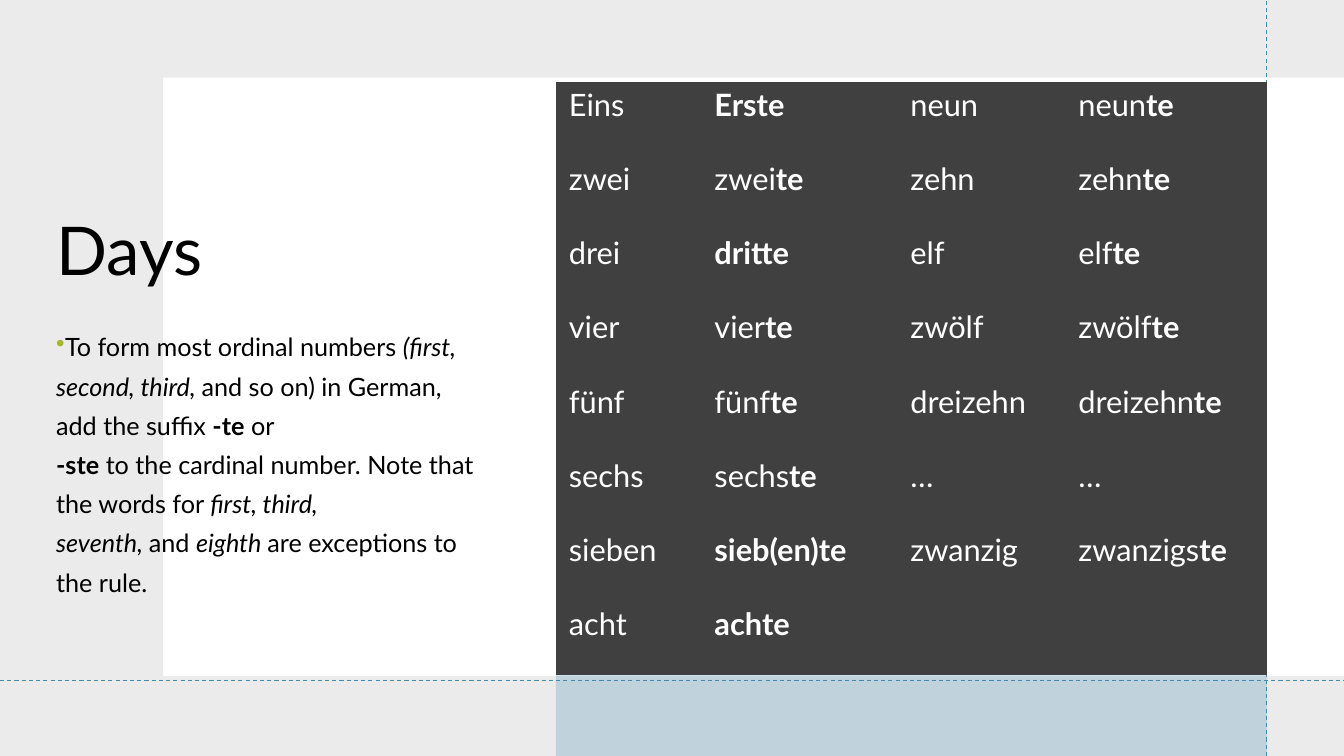
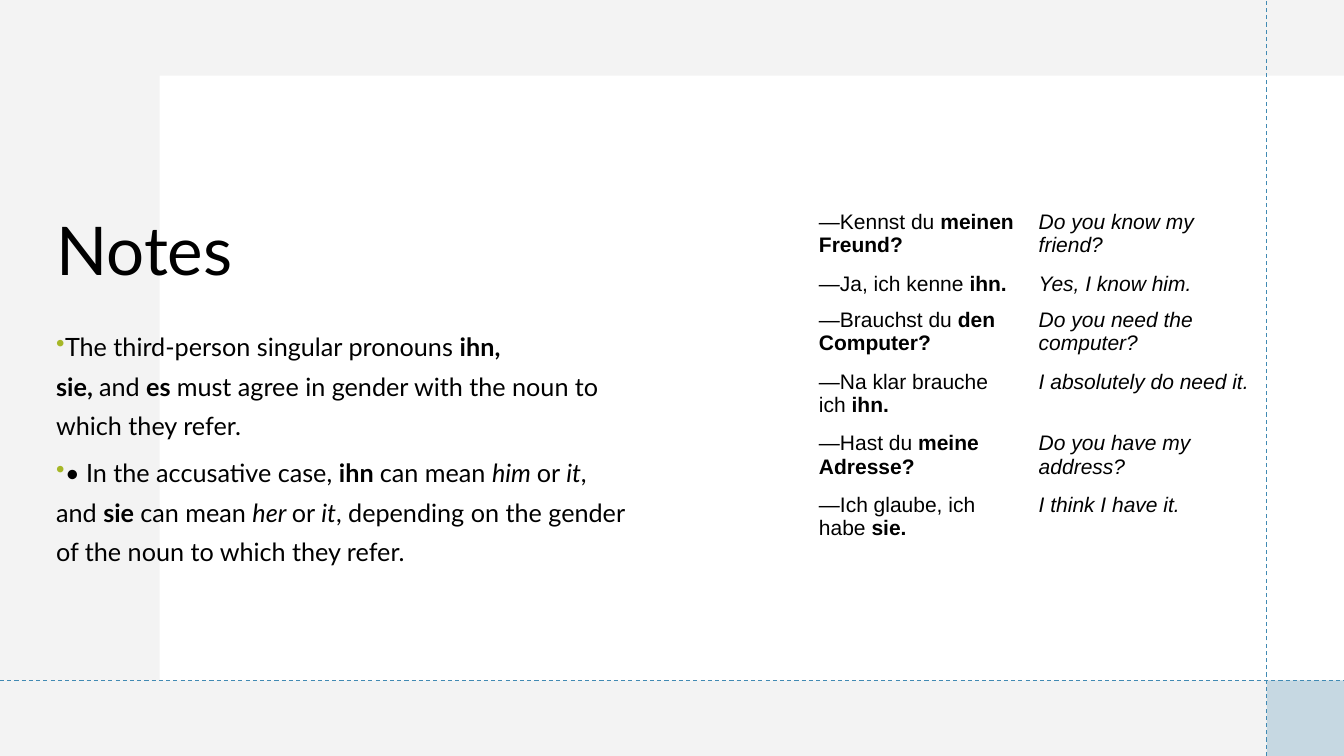
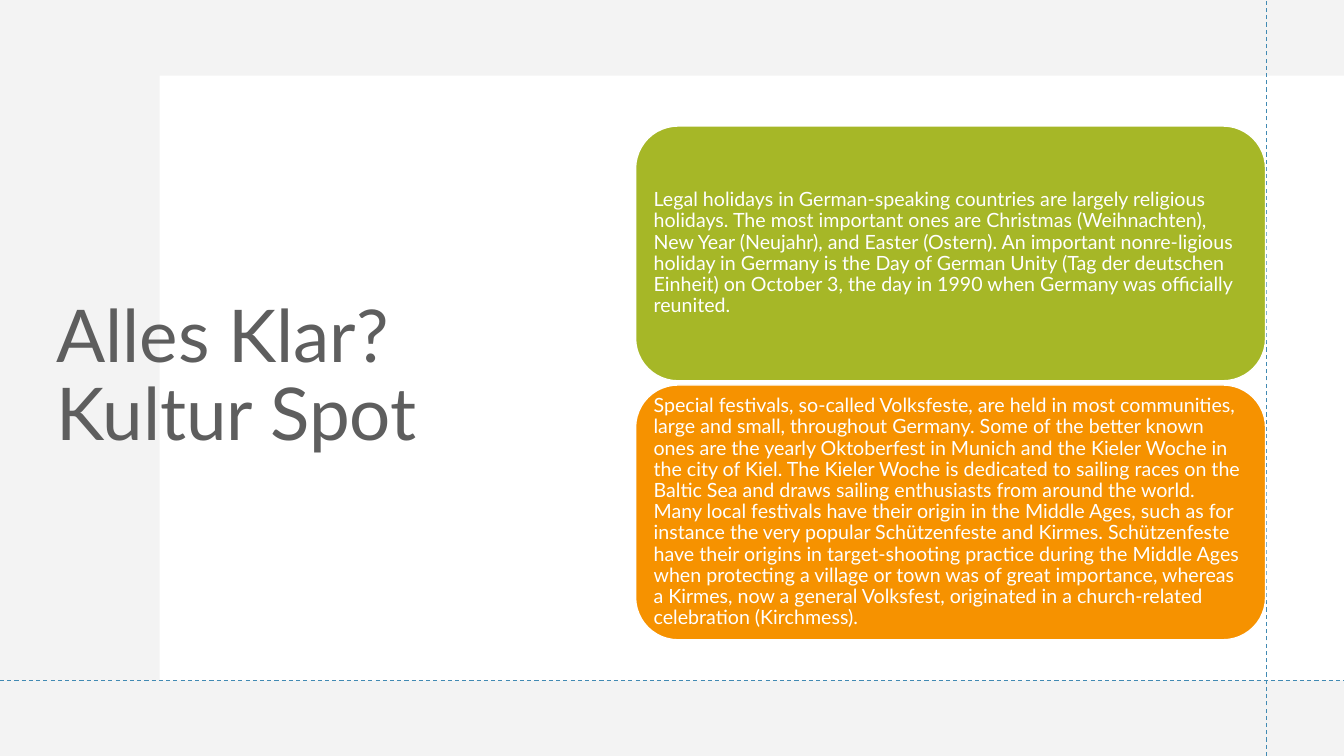
from collections import namedtuple

from lxml import etree
from pptx import Presentation
from pptx.dml.color import RGBColor
from pptx.enum import dml, shapes, text
from pptx.oxml import ns
from pptx.util import Pt

Box = namedtuple("Box", "left top width height")

# Shared look
WIDTH, HEIGHT = 960, 540
GUIDE_X, GUIDE_Y = 905, 486
FONT = "Lato"
BLACK, WHITE, DARK = "000000", "FFFFFF", "404040"
GREY, BLUE, GREEN, ORANGE = "DDDDDD", "418AB3", "A6B727", "F69200"
TITLE_GREY = "5E5E5E"
TEXT_LEFT = 33
PANEL = Box(114, 54, 846, 432)
PLAIN_TABLE = "{2D5ABB26-0587-4C30-8999-92F81FD0307C}"

# In the texts below * switches bold, _ switches italic, ~ is a fixed space
ORDINAL_RULE = [
    "To form most ordinal numbers~_(first, second, third,~_and so on) in German, "
    "add the suffix~*-te*~or\n*-ste*~to the cardinal number. Note that the words "
    "for~_first, third, seventh,~_and~_eighth~_are exceptions to the rule.",
]
ORDINALS = [
    ["Eins", "*Erste*", "neun", "neun*te*"],
    ["zwei", "zwei*te*", "zehn", "zehn*te*"],
    ["drei", "*dritte*", "elf", "elf*te*"],
    ["vier", "vier*te*", "zwölf", "zwölf*te*"],
    ["fünf", "fünf*te*", "dreizehn", "dreizehn*te*"],
    ["sechs", "sechs*te*", "…", "…"],
    ["sieben", "*sieb(en)te*", "zwanzig", "zwanzigs*te*"],
    ["acht", "*achte*", "", ""],
]
PRONOUN_RULES = [
    "The third-person singular pronouns~*ihn, sie,~*and~*es~*must agree in gender "
    "with the noun to which they refer.",
    "• In the accusative case,~*ihn~*can mean~_him~_or~_it_, and~*sie~*can mean~"
    "_her~_or~_it_, depending on the gender of the noun to which they refer.",
]
DIALOGUE = [
    ["—Kennst du~*meinen Freund?*", "_Do you know my friend?_"],
    ["—Ja, ich kenne~*ihn.*", "_Yes, I know him._"],
    ["—Brauchst du~*den Computer?*", "_Do you need the computer?_"],
    ["—Na klar brauche ich~*ihn.*", "_I absolutely do need it._"],
    ["—Hast du~*meine Adresse?*", "_Do you have my address?_"],
    ["—Ich glaube, ich habe~*sie.*", "_I think I have it._"],
]
HOLIDAYS = (
    "Legal holidays in German-speaking countries are largely religious holidays. The "
    "most important ones are Christmas (Weihnachten), New Year (Neujahr), and Easter "
    "(Ostern). An important nonre-ligious holiday in Germany is the Day of German Unity "
    "(Tag der deutschen Einheit) on October 3, the day in 1990 when Germany was "
    "officially reunited."
)
FESTIVALS = (
    "Special festivals, so-called Volksfeste, are held in most communities, large and "
    "small, throughout Germany. Some of the better known ones are the yearly Oktoberfest "
    "in Munich and the Kieler Woche in the city of Kiel. The Kieler Woche is dedicated to "
    "sailing races on the Baltic Sea and draws sailing enthusiasts from around the world. "
    "Many local festivals have their origin in the Middle Ages, such as for instance the "
    "very popular Schützenfeste and Kirmes. Schützenfeste have their origins in "
    "target-shooting practice during the Middle Ages when protecting a village or town "
    "was of great importance, whereas a Kirmes, now a general Volksfest, originated in a "
    "church-related celebration (Kirchmess)."
)


def colour(value):
    return RGBColor.from_string(value)


def points(box):
    return [Pt(length) for length in box]


def sub(parent, tag, **attributes):
    return etree.SubElement(parent, ns.qn(tag), **attributes)


# Text
def write(para, marked, size, ink, font=FONT):
    """Add the runs of one paragraph from its marked text."""
    for i, part in enumerate(marked.replace("~", chr(160)).split("*")):
        for j, piece in enumerate(part.split("_")):
            for k, line in enumerate(piece.split("\n")):
                if k:
                    para.add_line_break()
                if line:
                    span = para.add_run()
                    span.text = line
                    span.font.name, span.font.size = font, Pt(size)
                    span.font.bold, span.font.italic = i % 2 == 1, j % 2 == 1
                    span.font.color.rgb = colour(ink)


def set_frame(frame, anchor, insets):
    frame.word_wrap = True
    frame.auto_size = text.MSO_AUTO_SIZE.NONE
    frame.vertical_anchor = anchor
    set_margins(frame, insets)


def set_margins(holder, insets):
    (holder.margin_left, holder.margin_top,
     holder.margin_right, holder.margin_bottom) = points(insets)


def add_title(page, box, words, size=48, ink=BLACK, anchor=text.MSO_ANCHOR.BOTTOM):
    title = page.shapes.title
    page.shapes.element.append(title.element)  # in front of the backdrop
    title.left, title.top, title.width, title.height = points(box)
    set_frame(title.text_frame, anchor, (7.2, 3.6, 7.2, 3.6))
    para = title.text_frame.paragraphs[0]
    para.alignment = text.PP_ALIGN.LEFT
    para.line_spacing = 0.9
    write(para, words, size, ink)


def add_bullets(page, box, items):
    frame = page.shapes.add_textbox(*points(box)).text_frame
    set_frame(frame, text.MSO_ANCHOR.TOP, (7.2, 3.6, 7.2, 3.6))
    for i, item in enumerate(items):
        para = frame.add_paragraph() if i else frame.paragraphs[0]
        para.line_spacing, para.space_after = Pt(28), Pt(6)
        write(para, item, 18, BLACK)
        props = para._p.get_or_add_pPr()
        props.set("marL", "0")
        props.set("indent", str(-Pt(18)))
        sub(sub(props, "a:buClr"), "a:srgbClr", val=GREEN)
        sub(props, "a:buChar", char="•")


# Shapes
def add_block(page, box, fill, opacity=100, kind=shapes.MSO_SHAPE.RECTANGLE):
    block = page.shapes.add_shape(kind, *points(box))
    block.shadow.inherit = False
    block.fill.solid()
    block.fill.fore_color.rgb = colour(fill)
    block.line.fill.background()
    if opacity < 100:
        tint = block.element.spPr.find(ns.qn("a:solidFill"))[0]
        sub(tint, "a:alpha", val=str(opacity * 1000))
    return block


def add_guide(page, start, end):
    guide = page.shapes.add_connector(
        shapes.MSO_CONNECTOR.STRAIGHT, *points(start + end))
    guide.line.color.rgb = colour(BLUE)
    guide.line.width = Pt(0.75)
    guide.line.dash_style = dml.MSO_LINE.DASH
    sub(guide.element.spPr, "a:effectLst")


def add_backdrop(page, panel=PANEL, opacity=35, accent=None):
    """Grey frame, white panel, optional blue block and the two guides."""
    add_block(page, Box(0, 0, WIDTH, HEIGHT), GREY, opacity)
    add_block(page, panel, WHITE)
    if accent:
        add_block(page, accent, BLUE, 25)
    add_guide(page, (GUIDE_X, HEIGHT), (GUIDE_X, 0))
    add_guide(page, (0, GUIDE_Y), (WIDTH, GUIDE_Y))


def add_card(page, box, words, fill):
    card = add_block(page, box, fill, kind=shapes.MSO_SHAPE.ROUNDED_RECTANGLE)
    card.line.color.rgb = colour(WHITE)
    card.line.width = Pt(1)
    set_frame(card.text_frame, text.MSO_ANCHOR.MIDDLE, (4, 0, 4, 0))
    para = card.text_frame.paragraphs[0]
    para.alignment = text.PP_ALIGN.LEFT
    para.line_spacing = 0.9
    write(para, words, 14, WHITE)


# Tables
def add_grid(page, left, top, widths, heights, rows, insets, size, ink, font, fill=None):
    """Place a plain table; insets holds one set of margins per column."""
    box = Box(left, top, sum(widths), sum(heights))
    frame = page.shapes.add_table(len(rows), len(widths), *points(box))
    table = frame.table
    table.first_row = table.horz_banding = False
    next(frame.element.iter(ns.qn("a:tableStyleId"))).text = PLAIN_TABLE
    for column, width in zip(table.columns, widths):
        column.width = Pt(width)
    for row, height, entries in zip(table.rows, heights, rows):
        row.height = Pt(height)
        for cell, entry, margins in zip(row.cells, entries, insets):
            set_margins(cell, margins)
            if fill:
                cell.fill.solid()
                cell.fill.fore_color.rgb = colour(fill)
            else:
                cell.fill.background()
            write(cell.text_frame.paragraphs[0], entry, size, ink, font)
    return table


def add_left_border(cell, ink):
    props = cell._tc.get_or_add_tcPr()
    border = sub(props, "a:lnL", w=str(Pt(1)))
    sub(sub(border, "a:solidFill"), "a:srgbClr", val=ink)
    props.insert(0, border)


# Slides
def add_page(deck):
    return deck.slides.add_slide(deck.slide_layouts[5])


def add_text_column(page, width, title, items):
    add_title(page, Box(TEXT_LEFT, 42.5, width, 168.5), title)
    add_bullets(page, Box(TEXT_LEFT, 227, width, 244), items)


def days_page(deck):
    page = add_page(deck)
    widths = [104, 140, 120, 144]
    left = GUIDE_X - sum(widths)
    add_backdrop(page, Box(116.5, 55.5, 843.5, 427.5), 58,
                 Box(left, 479, sum(widths), HEIGHT - 479))
    add_text_column(page, 317.5, "Days", ORDINAL_RULE)
    insets = [(9.4, 3, 16, 19.4)] + [(9.4, 3, 13, 19.4)] * 3
    table = add_grid(page, left, 58.5, widths, [53] * len(ORDINALS), ORDINALS,
                     insets, 22, WHITE, FONT, DARK)
    for row in table.rows:
        add_left_border(row.cells[0], WHITE)


def notes_page(deck):
    page = add_page(deck)
    add_backdrop(page, accent=Box(GUIDE_X, GUIDE_Y, WIDTH - GUIDE_X, HEIGHT - GUIDE_Y))
    add_text_column(page, 422.5, "Notes", PRONOUN_RULES)
    widths = [158, 168]
    add_grid(page, GUIDE_X - sum(widths), 147.5, widths, [44, 26, 44, 44, 44, 44],
             DIALOGUE, [(6, 3, 6, 3), (5, 3, 6, 3)], 15, BLACK, "Arial")


def culture_page(deck):
    page = add_page(deck)
    add_backdrop(page)
    add_title(page, Box(TEXT_LEFT, 74, 398, 392), "Alles Klar? Kultur Spot",
              52, TITLE_GREY, text.MSO_ANCHOR.MIDDLE)
    for i, (words, fill) in enumerate([(HOLIDAYS, GREEN), (FESTIVALS, ORANGE)]):
        add_card(page, Box(454, 90 + 185 * i, 450, 182), words, fill)


def main():
    deck = Presentation()
    deck.slide_width, deck.slide_height = Pt(WIDTH), Pt(HEIGHT)
    days_page(deck)
    notes_page(deck)
    culture_page(deck)
    deck.save("out.pptx")


if __name__ == "__main__":
    main()
